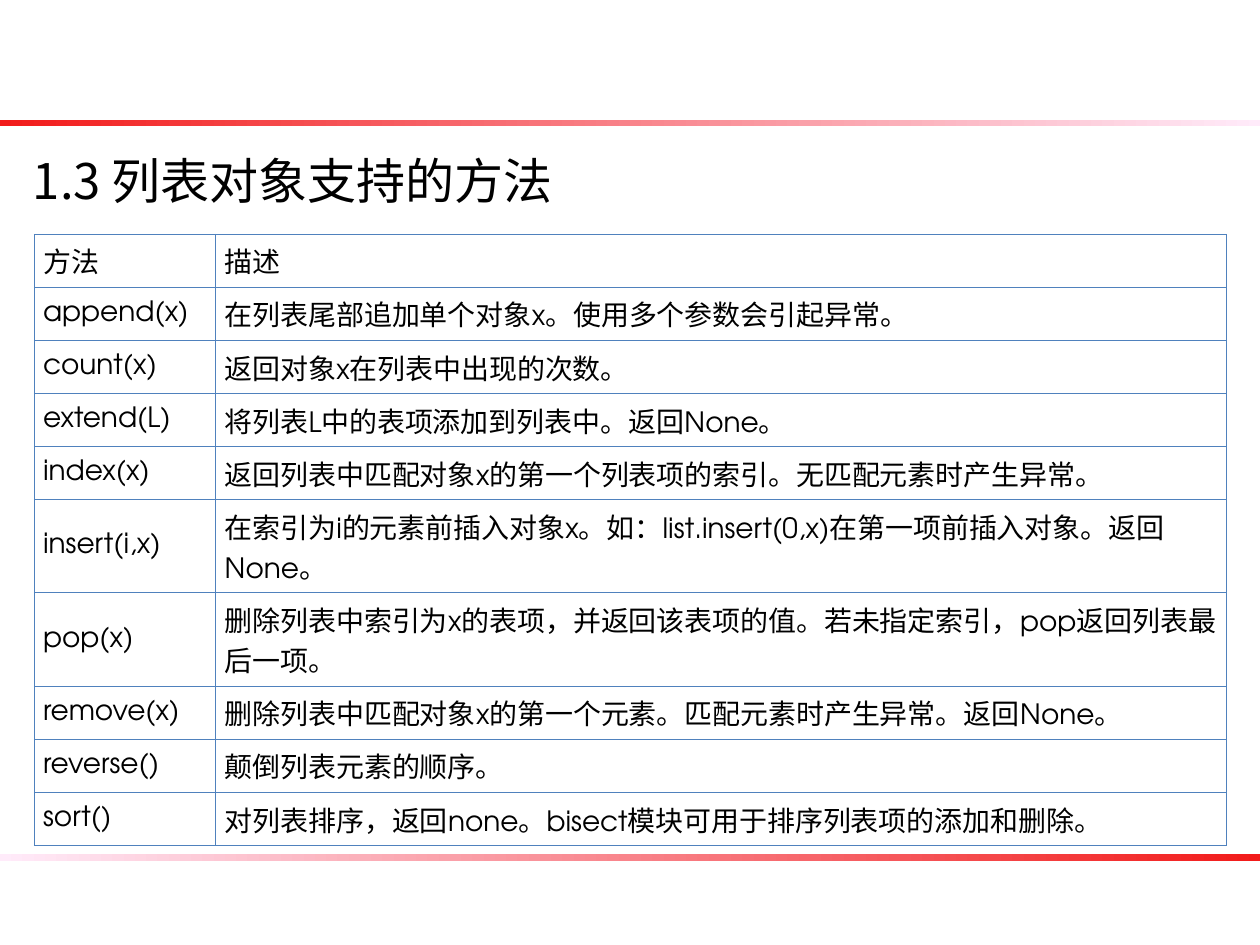
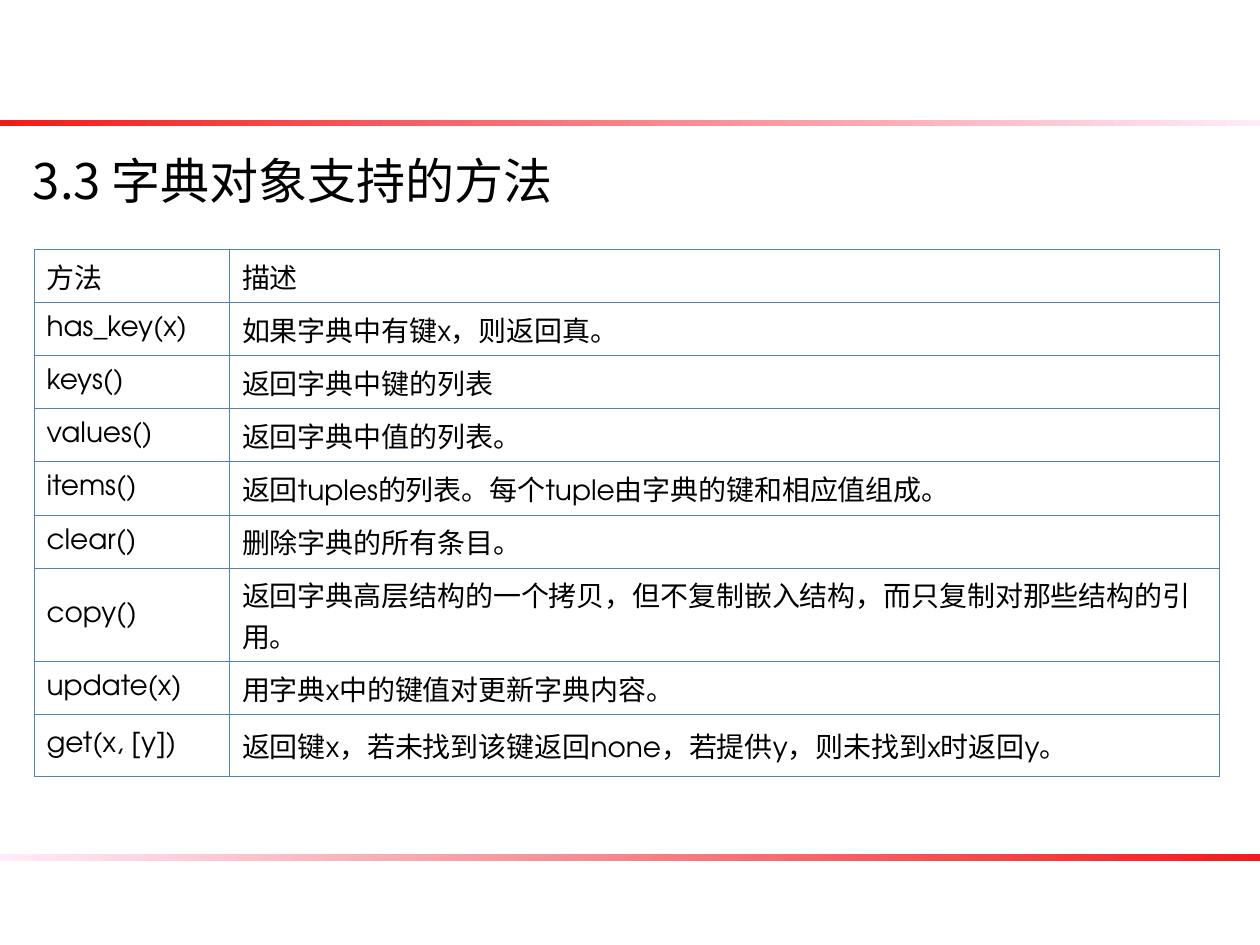
"""Build two slides that list the methods of Python lists and dicts."""
from lxml import etree
from pptx import Presentation
from pptx import util as u
from pptx.dml.color import RGBColor
from pptx.enum import shapes, text
from pptx.oxml.ns import qn

INK, EDGE, RED, PINK = "000000", "4F81BD", "F21B1A", "FFEBFA"
HAN, LATIN = "Noto Sans CJK SC", "TeX Gyre Adventor"
HEAD = ("方法", "描述")
ROW = 1.07
BANDS = [(2.41, 0), (17.22, 180)]
PAGES = [
    dict(
        title="1.3 列表对象支持的方法",
        top=4.72, cols=(3.66, 20.37), pad=0.18, tall={5: 1.88, 6: 1.88},
        rows=[
            ("append(x)", "在列表尾部追加单个对象x。使用多个参数会引起异常。"),
            ("count(x)", "返回对象x在列表中出现的次数。"),
            ("extend(L)", "将列表L中的表项添加到列表中。返回None。"),
            ("index(x)", "返回列表中匹配对象x的第一个列表项的索引。无匹配元素时产生异常。"),
            ("insert(i,x)", "在索引为i的元素前插入对象x。如：list.insert(0,x)在第一项前插入对象。返回None。"),
            ("pop(x)", "删除列表中索引为x的表项，并返回该表项的值。若未指定索引，pop返回列表最后一项。"),
            ("remove(x)", "删除列表中匹配对象x的第一个元素。匹配元素时产生异常。返回None。"),
            ("reverse()", "颠倒列表元素的顺序。"),
            ("sort()", "对列表排序，返回none。bisect模块可用于排序列表项的添加和删除。"),
        ],
    ),
    dict(
        title="3.3 字典对象支持的方法",
        top=5.03, cols=(3.94, 19.96), pad=0.25, tall={6: 1.88, 8: 1.24},
        rows=[
            ("has_key(x)", "如果字典中有键x，则返回真。"),
            ("keys()", "返回字典中键的列表"),
            ("values()", "返回字典中值的列表。"),
            ("items()", "返回tuples的列表。每个tuple由字典的键和相应值组成。"),
            ("clear()", "删除字典的所有条目。"),
            ("copy()", "返回字典高层结构的一个拷贝，但不复制嵌入结构，而只复制对那些结构的引用。"),
            ("update(x)", "用字典x中的键值对更新字典内容。"),
            ("get(x, [y])", "返回键x，若未找到该键返回none，若提供y，则未找到x时返回y。"),
        ],
    ),
]


def tint(code):
    return RGBColor.from_string(code)


def write(frame, words, size, face):
    frame.text = words
    frame.word_wrap = True
    para = frame.paragraphs[0]
    para.alignment = text.PP_ALIGN.LEFT
    font = para.font
    font.size, font.name, font.bold = u.Pt(size), face, False
    font.color.rgb = tint(INK)
    latin = para._p.pPr.find(f"{qn('a:defRPr')}/{qn('a:latin')}")
    east = etree.Element(qn("a:ea"), typeface=HAN)
    latin.addnext(east)


def frame_cell(cell):
    props = cell._tc.get_or_add_tcPr()
    for side in ("lnL", "lnR", "lnT", "lnB"):
        line = etree.SubElement(props, qn(f"a:{side}"), w=str(u.Pt(0.45)))
        fill = etree.SubElement(line, qn("a:solidFill"))
        etree.SubElement(fill, qn("a:srgbClr"), val=EDGE)
    cell.fill.background()


def add_bands(slide, master):
    for top, angle in BANDS:
        band = slide.shapes.add_shape(
            shapes.MSO_SHAPE.RECTANGLE, 0, u.Cm(top), u.Cm(25.4), u.Cm(0.13))
        band.shadow.inherit = False
        band.line.fill.background()
        band.fill.gradient()
        band.fill.gradient_angle = angle
        for stop, code in zip(band.fill.gradient_stops, (RED, PINK)):
            stop.color.rgb = tint(code)
        master.shapes._spTree.insert(2, band._element)


def add_title(slide, words):
    title = slide.shapes.title
    title.left, title.top = u.Cm(0.41), u.Cm(2.82)
    title.width, title.height = u.Cm(24.61), u.Cm(1.6)
    frame = title.text_frame
    write(frame, words, 28, HAN)
    frame.auto_size = text.MSO_AUTO_SIZE.NONE
    frame.vertical_anchor = text.MSO_ANCHOR.MIDDLE


def add_grid(slide, page):
    rows = [HEAD] + page["rows"]
    highs = [page["tall"].get(i, ROW) for i in range(len(rows))]
    cols = page["cols"]
    grid = slide.shapes.add_table(
        len(rows), len(cols), u.Cm(0.69), u.Cm(page["top"]),
        u.Cm(sum(cols)), u.Cm(sum(highs))).table
    grid.first_row = grid.horz_banding = False
    for col, wide in zip(grid.columns, cols):
        col.width = u.Cm(wide)
    for row, high, words in zip(grid.rows, highs, rows):
        row.height = u.Cm(high)
        for cell, word in zip(row.cells, words):
            write(cell.text_frame, word, 16, LATIN)
            cell.margin_left = cell.margin_right = u.Cm(page["pad"])
            cell.vertical_anchor = text.MSO_ANCHOR.MIDDLE
            frame_cell(cell)


def main():
    deck = Presentation()
    deck.slide_width, deck.slide_height = u.Cm(25.4), u.Cm(19.05)
    for page in PAGES:
        slide = deck.slides.add_slide(deck.slide_layouts[5])
        add_title(slide, page["title"])
        add_grid(slide, page)
    add_bands(slide, deck.slide_master)
    deck.save("out.pptx")


if __name__ == "__main__":
    main()
